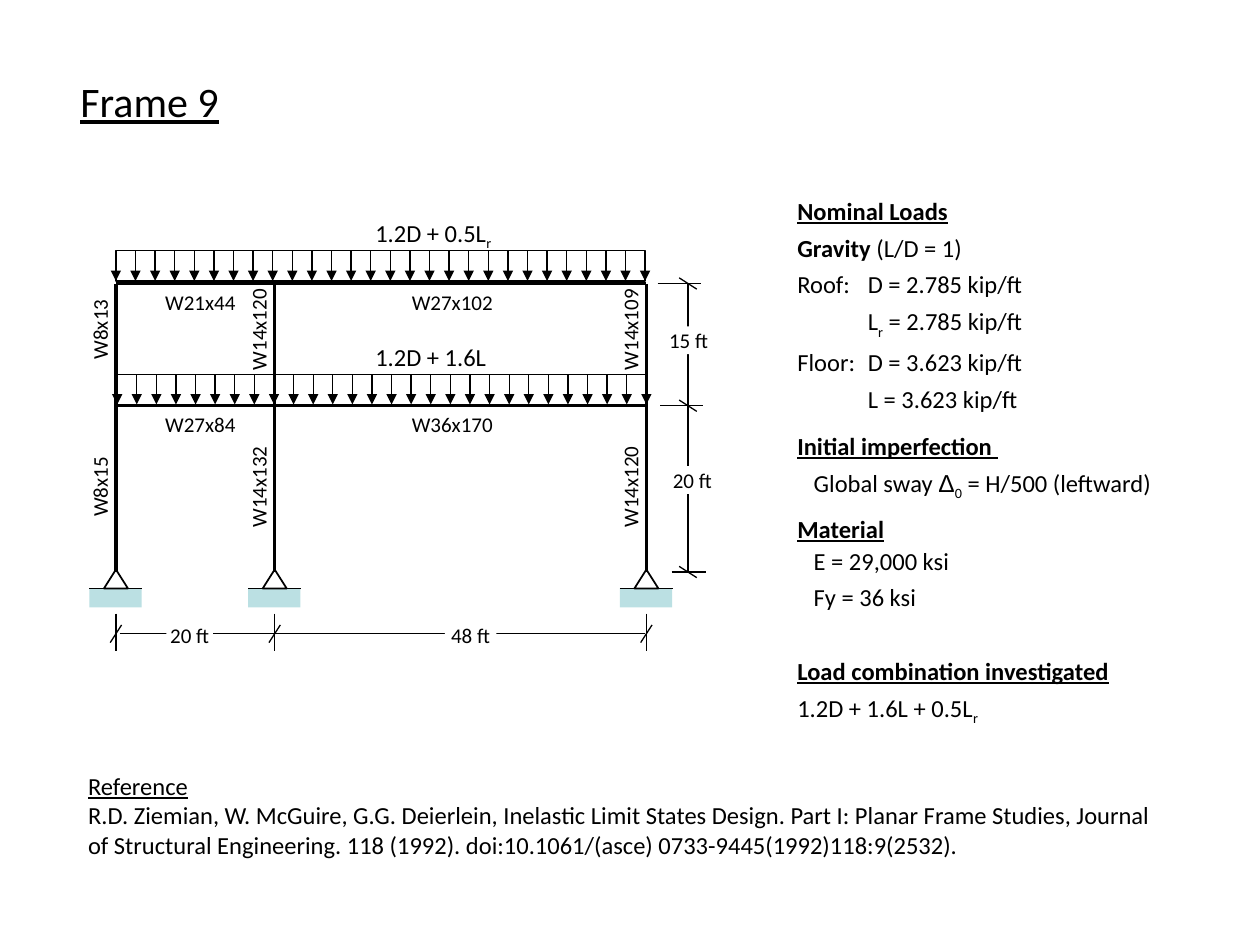
from lxml.etree import SubElement as Sub
from pptx import Presentation
from pptx.dml.color import RGBColor as Rgb
from pptx.enum.shapes import MSO_CONNECTOR as Link, MSO_SHAPE as Kind
from pptx.enum.text import PP_ALIGN as Align
from pptx.oxml.ns import qn
from pptx.util import Inches, Pt

BLACK = Rgb(0x00, 0x00, 0x00)
WHITE = Rgb(0xFF, 0xFF, 0xFF)
GROUND = Rgb(0xBB, 0xE0, 0xE3)
FONT = "Calibri"
COLS, ROWS, CELL = 100, 75, 0.1  # slide grid, cell size in inches


def cells(*spans):
    return [Inches(span * CELL) for span in spans]


def fill_para(para, runs, size):
    """Each run is (text, style): b bold, u underline, s subscript, a Arial."""
    for text, style in runs:
        run = para.add_run()
        run.text = text
        font = run.font
        font.name = "Arial" if "a" in style else FONT
        font.size = Pt(size)
        font.color.rgb = BLACK
        font.bold = "b" in style
        font.underline = "u" in style
        if "s" in style:
            run._r.get_or_add_rPr().set("baseline", "-25000")


class Area:
    """A region whose parts are placed from its top left cell."""

    def __init__(self, shapes, x, y):
        self.shapes, self.x, self.y = shapes, x, y

    def group(self, x, y):
        return Area(self.shapes.add_group_shape().shapes, self.x + x, self.y + y)

    def line(self, x1, y1, x2, y2, width=0.75, arrow=False):
        ends = cells(self.x + x1, self.y + y1, self.x + x2, self.y + y2)
        link = self.shapes.add_connector(Link.STRAIGHT, *ends)
        link.line.color.rgb = BLACK
        link.line.width = Pt(width)
        props = link._element.spPr
        if arrow:
            Sub(props.find(qn("a:ln")), qn("a:tailEnd"), type="triangle")
        Sub(props, qn("a:effectLst"))

    def shape(self, kind, x, y, w, h, fill=None, width=None):
        part = self.shapes.add_shape(kind, *cells(self.x + x, self.y + y, w, h))
        part.shadow.inherit = False
        if fill is None:
            part.fill.background()
        else:
            part.fill.solid()
            part.fill.fore_color.rgb = fill
        if width is None:
            part.line.fill.background()
        else:
            part.line.color.rgb = BLACK
            part.line.width = Pt(width)
        return part

    def text(self, x, y, w, h, paras, size, wrap=True):
        box = self.shapes.add_textbox(*cells(self.x + x, self.y + y, w, h))
        frame = box.text_frame
        frame.word_wrap = wrap
        for i, runs in enumerate(paras):
            para = frame.add_paragraph() if i else frame.paragraphs[0]
            fill_para(para, runs, size)
        return box


# Frame 
COLUMNS = (0, 12.6, 42.1)
LEVELS = (0, 9.7, 22.9)


def add_load(area, x, y, runs, gap):
    span, high, count = 42, 2.4, 28
    load = area.group(x, y - high)
    load.shape(Kind.RECTANGLE, 0, 0, span, high, width=0.75)
    for i in range(count):
        left = span * i / (count - 1)
        load.line(left, 0, left, high, arrow=True)
    box = area.text(19.6, y - high - gap, 12.5, 3.5, [runs], 14)
    box.text_frame.paragraphs[0].line_spacing = 1.07


def add_support(area, x):
    base = area.group(x - 2.1, LEVELS[-1] - 0.2)
    base.shape(Kind.RECTANGLE, 0, 1.5, 4.15, 1.5, GROUND)
    base.shape(Kind.ISOSCELES_TRIANGLE, 1.15, 0, 1.9, 1.5, width=1)
    base.line(0, 1.5, 4.2, 1.5, 1)


def add_member(area, name, x, y, upright):
    wide, high = 2.55 + 0.85 * len(name), 3
    box = area.text(x - wide / 2, y - high / 2, wide, high, [[(name, "")]], 12, False)
    box.rotation = 270 if upright else 0


def add_span(area, text, x, y, wide):
    high = 2.2
    tag = area.shape(Kind.RECTANGLE, x - wide / 2, y - high / 2, wide, high, WHITE)
    frame = tag.text_frame
    frame.margin_left = frame.margin_right = Inches(0.01)
    frame.margin_top = frame.margin_bottom = Inches(0.01)
    para = frame.paragraphs[0]
    para.alignment = Align.CENTER
    fill_para(para, [(text, "")], 12)


def add_spans(area):
    # Lines and ticks below the frame
    low, side = 27.8, 45.4
    area.line(0.3, low, 42, low)
    for x in COLUMNS:
        area.line(x, 26.2, x, 29.2)
        area.line(x + 0.45, low - 0.7, x - 0.45, low + 0.7)
    # Lines and ticks at the right
    area.line(side, 0, side, LEVELS[-1])
    for y, start, end in zip(LEVELS, (43, 43.2, 44.1), (46.4, 46.6, 46.8)):
        area.line(start, y, end, y)
        area.line(side + 0.7, y + 0.45, side - 0.7, y - 0.45)
    for tag in (("20 ft", 5.85, 27.9, 3.7), ("48 ft", 28.15, 27.9, 4.1),
                ("15 ft", 45.45, 4.5, 3.7), ("20 ft", 45.75, 15.6, 3.7)):
        add_span(area, *tag)


def add_frame(area):
    add_spans(area)
    # Supports, columns and beams
    for x in COLUMNS:
        add_support(area, x)
        area.line(x, LEVELS[-1], x, 0, 2)
    for y in LEVELS[:2]:
        area.line(0, y, COLUMNS[-1], y, 2)
    # Loads
    add_load(area, 0, -0.2, [("1.2D + 0.5L", ""), ("r", "s")], 3.3)
    add_load(area, 0.1, 9.6, [("1.2D + 1.6L", "")], 3.2)
    # Member sizes
    for y, names in ((1.5, ("W21x44", "W27x102")), (11.2, ("W27x84", "W36x170"))):
        for x, name in zip((6.75, 26.75), names):
            add_member(area, name, x, y, False)
    for y, names in ((3.6, ("W8x13", "W14x120", "W14x109")),
                     (16.1, ("W8x15", "W14x132", "W14x120"))):
        for x, name in zip(COLUMNS, names):
            add_member(area, name, x - 1.3, y, True)


# Load and material notes: runs, space before, space after, indent
NOTES = (
    ([("Nominal Loads", "bu")], 0, 3, 0),
    ([("Gravity ", "b"), ("(L/D = 1)", "")], 0, 3, 0),
    ([("Roof:\tD = 2.785 kip/ft", "")], 0, 3, 0),
    ([("\tL", ""), ("r", "s"), (" = 2.785 kip/ft", "")], 0, 3, 0),
    ([("Floor:\tD = 3.623 kip/ft", "")], 0, 3, 0),
    ([("\tL = 3.623 kip/ft", "")], 0, 3, 0),
    ([("Initial imperfection ", "bu")], 6, 3, 0),
    ([("Global sway ", ""), ("Δ", "a"), ("0", "s"), (" = H/500 (leftward)", "")], 0, 6, 0.13),
    ([("Material", "bu")], 0, 0, 0),
    ([("E = 29,000 ksi", "")], 0, 3, 0.13),
    ([("Fy = 36 ksi", "")], 0, 3, 0.13),
    ([("Load combination investigated", "bu")], 21, 3, 0),
    ([("1.2D + 1.6L + 0.5L", ""), ("r", "s")], 0, 0, 0),
)


def add_notes(area):
    box = area.text(0, 0, 34.7, 43.5, [note[0] for note in NOTES], 14)
    for para, (runs, before, after, indent) in zip(box.text_frame.paragraphs, NOTES):
        para.line_spacing = 1.07
        para.space_before, para.space_after = Pt(before), Pt(after)
        props = para._p.get_or_add_pPr()
        props.set("marL", str(Inches(indent)))
        if "\t" in runs[0][0]:
            tabs = Sub(props, qn("a:tabLst"))
            Sub(tabs, qn("a:tab"), pos=str(Inches(0.56)), algn="l")


def add_title(area):
    area.text(0, 0, 15.7, 5, [[("Frame 9", "u")]], 24)


def add_source(area):
    cite = ("R.D. Ziemian, W. McGuire, G.G. Deierlein, Inelastic Limit States Design. "
            "Part I: Planar Frame Studies, Journal of Structural Engineering. 118 (1992). "
            "doi:10.1061/(asce) 0733-9445(1992)118:9(2532).")
    area.text(0, 0, 87.8, 8.1, [[("Reference", "u")], [(cite, "")]], 14)


deck = Presentation()
deck.slide_width, deck.slide_height = cells(COLS, ROWS)
shapes = deck.slides.add_slide(deck.slide_layouts[6]).shapes
for add, x, y in ((add_title, 5.4, 5.5), (add_frame, 9.2, 22.5),
                  (add_notes, 62.3, 14.9), (add_source, 6, 60.7)):
    add(Area(shapes, x, y))
deck.save("out.pptx")
